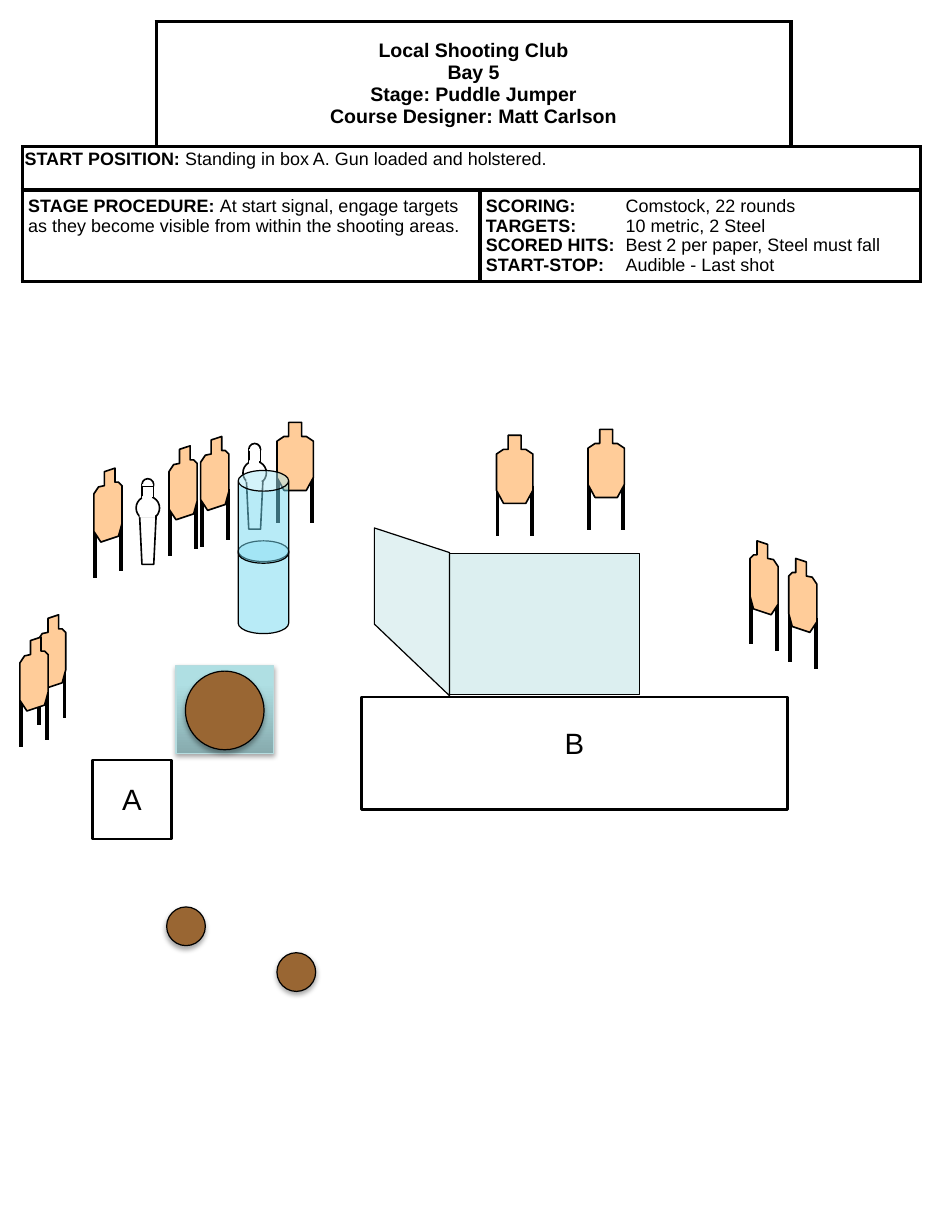
from lxml import etree
from pptx import Presentation
from pptx import util as u
from pptx.dml.color import RGBColor
from pptx.enum import shapes, text
from pptx.oxml.ns import qn

PX = 9144  # EMU per px, 100 px to the inch
COLORS = {
    "ink": "000000", "paper": "FFFFFF", "barrel": "996633", "target": "FFCC99",
    "wall": "BBE0E3", "can": "73D9F1", "edge": "B6DCDF",
    "deep": "87ABAE", "pale": "AFDFE3",
}
SHAPE = shapes.MSO_SHAPE

FRONT = [(10, 0), (21, 0), (21, 12), (25, 12), (31, 16), (31, 47), (25, 58),
         (6, 58), (0, 47), (0, 16), (6, 12), (10, 12)]
FRONT_LEGS = [(1, 43), (30, 43)]
ANGLED = [(9, 3), (18, 0), (18, 12), (21, 12), (24, 15), (24, 47), (21, 58),
          (6, 63), (0, 54), (0, 22), (4, 16), (9, 15)]
ANGLED_LEGS = [(1, 51), (23, 45)]
LEG = 43


def rgb(name):
    return RGBColor.from_string(COLORS[name])


def sub(parent, tag, **attrs):
    return etree.SubElement(parent, qn(tag), {k: str(v) for k, v in attrs.items()})


def style(sp, fill=None, line="ink", width=1, alpha=None):
    sp.shadow.inherit = False
    if fill:
        sp.fill.solid()
        sp.fill.fore_color.rgb = rgb(fill)
        if alpha:
            color = sp._element.spPr.find(qn("a:solidFill"))[0]
            sub(color, "a:alpha", val=alpha * 1000)
    else:
        sp.fill.background()
    if line:
        sp.line.color.rgb = rgb(line)
        sp.line.width = u.Pt(width)
    else:
        sp.line.fill.background()
    return sp


def shape(s, kind, x, y, w, h, **fmt):
    return style(s.shapes.add_shape(kind, *(v * PX for v in (x, y, w, h))), **fmt)


def outline(s, points, **fmt):
    builder = s.shapes.build_freeform(*points[0], scale=PX)
    builder.add_line_segments(points[1:], close=True)
    return style(builder.convert_to_shape(), **fmt)


def drop_shadow(sp):
    effects = sp._element.spPr.find(qn("a:effectLst"))
    shadow = sub(effects, "a:outerShdw", blurRad=u.Pt(3.1), dist=u.Pt(1.8),
                 dir=5400000, rotWithShape=0)
    sub(sub(shadow, "a:srgbClr", val=COLORS["ink"]), "a:alpha", val=35000)
    return sp


def write(tf, paragraphs, size=11, align=None, spacing=None, tab=None):
    """Each paragraph is a list of (text, bold) runs; a newline breaks the line."""
    tf.word_wrap = True
    for i, runs in enumerate(paragraphs):
        p = tf.add_paragraph() if i else tf.paragraphs[0]
        p.alignment, p.line_spacing = align, spacing
        if tab:
            tabs = sub(p._p.get_or_add_pPr(), "a:tabLst")
            sub(tabs, "a:tab", pos=tab * PX, algn="l")
        for content, bold in runs:
            for n, line in enumerate(content.split("\n")):
                if n:
                    p.add_line_break()
                r = p.add_run()
                r.text = line
                r.font.name, r.font.size, r.font.bold = "Arial", u.Pt(size), bold
                r.font.color.rgb = rgb("ink")


def border(cell, sides):
    tcPr = cell._tc.get_or_add_tcPr()
    lines = []
    for side in "LRTB":
        if side in sides:
            ln = sub(tcPr, f"a:ln{side}", w=u.Pt(2.25))
            sub(sub(ln, "a:solidFill"), "a:srgbClr", val=COLORS["ink"])
            lines.append(ln)
    for i, ln in enumerate(lines):
        tcPr.insert(i, ln)


def span(table, row, first, last, sides="LRTB", inset=(5, 5)):
    """Merge the columns first to last of a row, and return the merged cell."""
    for col in range(first, last + 1):
        cell = table.cell(row, col)
        cell.fill.solid()
        cell.fill.fore_color.rgb = rgb("paper")
        border(cell, sides if col == first else sides.replace("L", ""))
    cell = table.cell(row, first)
    if last > first:
        cell.merge(table.cell(row, last))
    cell.margin_left = cell.margin_right = inset[0] * PX
    cell.margin_top = cell.margin_bottom = inset[1] * PX
    return cell


def briefing(s):
    cols, rows = [114, 276, 265, 110], [107, 37, 78]
    frame = s.shapes.add_table(3, 4, 19 * PX, 18 * PX, sum(cols) * PX, sum(rows) * PX)
    table = frame.table
    table.first_row = table.horz_banding = False
    for items, sizes, key in ((table.columns, cols, "width"), (table.rows, rows, "height")):
        for item, size in zip(items, sizes):
            setattr(item, key, size * PX)

    span(table, 0, 0, 0, "RB")
    span(table, 0, 3, 3, "LB")
    title = span(table, 0, 1, 2)
    title.vertical_anchor = text.MSO_ANCHOR.MIDDLE
    write(title.text_frame, [[("Local Shooting Club\nBay 5\nStage: Puddle Jumper\n"
                               "Course Designer: Matt Carlson", True)]],
          size=12, align=text.PP_ALIGN.CENTER)
    write(span(table, 1, 0, 3, inset=(2, 4)).text_frame,
          [[("START POSITION:", True),
            (" Standing in box A. Gun loaded and holstered.", False)]], spacing=0.9)
    write(span(table, 2, 0, 1).text_frame,
          [[("STAGE PROCEDURE: ", True),
            ("At start signal, engage targets as they become visible "
             "from within the shooting areas.", False)]])
    facts = [("SCORING:", "Comstock, 22 rounds"),
             ("TARGETS:", "10 metric, 2 Steel"),
             ("SCORED HITS:", "Best 2 per paper, Steel must fall"),
             ("START-STOP:", "Audible - Last shot")]
    write(span(table, 2, 2, 3).text_frame,
          [[(label, True), ("\t" + value, False)] for label, value in facts], tab=119)


def barrel(s, x, y, d):
    return drop_shadow(shape(s, SHAPE.OVAL, x, y, d, d, fill="barrel", width=0.75))


def puddle(s):
    water = drop_shadow(shape(s, SHAPE.RECTANGLE, 150, 567, 83, 75, line="edge", width=0.75))
    water.fill.gradient()
    water.fill.gradient_angle = 90
    for stop, color, at in zip(water.fill.gradient_stops, ("deep", "pale"), (0, 0.8)):
        stop.color.rgb, stop.position = rgb(color), at
    s.shapes.add_group_shape([water, barrel(s, 158, 572, 67)])


def shooting_area(s, label, x, y, w, h, label_y, label_h):
    box = shape(s, SHAPE.RECTANGLE, x, y, w, h, width=1.5)
    tb = s.shapes.add_textbox(x * PX, label_y * PX, w * PX, label_h * PX)
    write(tb.text_frame, [[(label, False)]], size=18, align=text.PP_ALIGN.CENTER)
    s.shapes.add_group_shape([box, tb])


def target(s, x, y, body=ANGLED, legs=ANGLED_LEGS, mirror=False):
    def place(points):
        return [(x + (24 - a if mirror else a), y + b) for a, b in points]

    parts = []
    for a, b in place(legs):
        leg = s.shapes.add_connector(shapes.MSO_CONNECTOR.STRAIGHT,
                                     a * PX, b * PX, a * PX, (b + LEG) * PX)
        leg.line.color.rgb, leg.line.width = rgb("ink"), u.Pt(2.25)
        sub(leg._element.spPr, "a:effectLst")
        parts.append(leg)
    parts.append(outline(s, place(body), fill="target"))
    s.shapes.add_group_shape(parts)


def popper(s, x, y):
    """A steel target: round head and body on a tapered foot, inner edges covered."""
    def part(kind, a, b, w, h, line="ink"):
        return shape(s, kind, x + a, y + b, w, h, fill="paper", line=line)

    foot = [(x + a, y + b) for a, b in ((3, 32), (17, 32), (15, 73), (5, 73))]
    s.shapes.add_group_shape([
        part(SHAPE.OVAL, 5, 0, 10, 10),
        part(SHAPE.OVAL, 0, 15, 20, 20),
        outline(s, foot, fill="paper"),
        part(SHAPE.RECTANGLE, 5, 6, 10, 10),
        part(SHAPE.RECTANGLE, 3, 31, 13, 2, None),
        part(SHAPE.RECTANGLE, 6, 15, 7, 2, "paper"),
        part(SHAPE.RECTANGLE, 6, 5, 8, 1, "paper")])


def stacked_cans(s):
    cans = [shape(s, SHAPE.CAN, 203, y, 43, 79, fill="can", alpha=50, width=0.75)
            for y in (461, 401)]
    for can in cans:
        can.adjustments[0] = 0.41
    s.shapes.add_group_shape(cans)


def main():
    prs = Presentation()
    prs.slide_width, prs.slide_height = 800 * PX, 1050 * PX
    s = prs.slides.add_slide(prs.slide_layouts[6])
    briefing(s)
    puddle(s)
    for x, y in ((142, 773), (236, 812)):
        barrel(s, x, y, 33)
    shooting_area(s, "A", 79, 648, 67, 67, 661, 40)
    shooting_area(s, "B", 308, 594, 363, 96, 613, 58)
    outline(s, [(545, 592), (383, 592), (383, 472), (545, 472)],
            fill="wall", alpha=50, width=0.75)
    outline(s, [(319, 532), (383, 593), (383, 471), (319, 450)],
            fill="wall", alpha=44, width=0.75)
    for x, y in ((80, 399), (144, 380), (171, 372), (32, 524), (17, 543)):
        target(s, x, y)
    for x, y in ((672, 476), (639, 461)):
        target(s, x, y, mirror=True)
    for x, y in ((116, 408), (207, 378)):
        popper(s, x, y)
    for x, y in ((236, 360), (423, 371), (501, 366)):
        target(s, x, y, FRONT, FRONT_LEGS)
    stacked_cans(s)
    prs.save("out.pptx")


if __name__ == "__main__":
    main()
